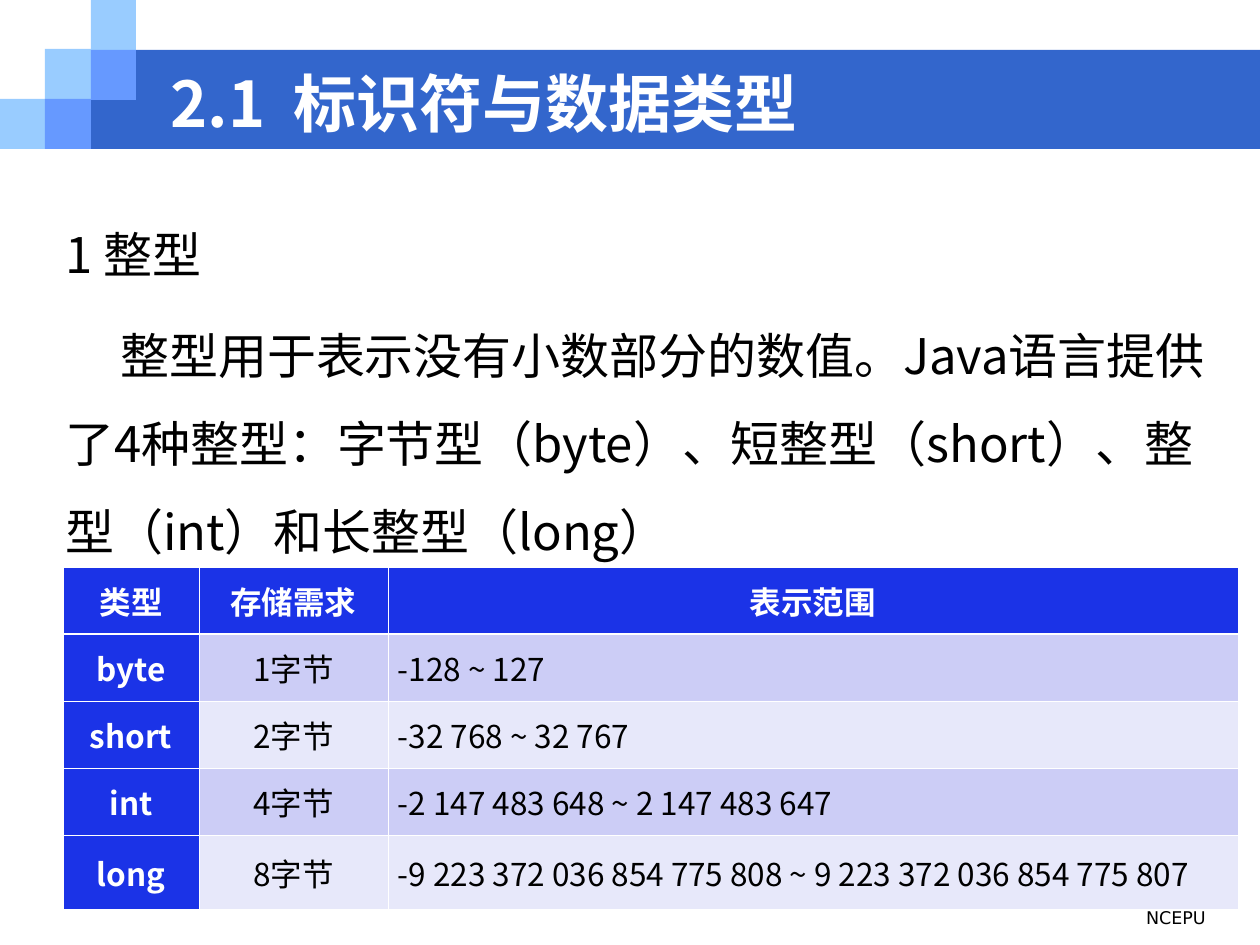
import pptx
import pptx.util
from lxml import etree
from pptx.dml.color import RGBColor
from pptx.enum.shapes import MSO_SHAPE
from pptx.enum.text import MSO_ANCHOR, PP_ALIGN
from pptx.oxml.ns import qn

PX = 914400 // 126
FONT = "Noto Sans CJK SC"
WHITE = RGBColor(0xFF, 0xFF, 0xFF)
BLACK = RGBColor(0, 0, 0)
BAND = RGBColor(0x33, 0x66, 0xCC)
LIGHT = RGBColor(0x99, 0xCC, 0xFF)
MIDDLE = RGBColor(0x66, 0x99, 0xFF)
HEADER = RGBColor(0x1B, 0x33, 0xE7)
ROW_FILLS = [RGBColor(0xE7, 0xE8, 0xFA), RGBColor(0xCC, 0xCD, 0xF6)]


def style(p, size, color, bold=False, name=FONT):
    """Set the paragraph font for Latin and East Asian text alike."""
    f = p.font
    f.size = pptx.util.Pt(size)
    f.bold = bold
    f.color.rgb = color
    f.name = name
    latin = p._p.pPr.find(qn("a:defRPr")).find(qn("a:latin"))
    ea = etree.Element(qn("a:ea"), typeface=name)
    latin.addnext(ea)


def add_text(s, x, y, w, h, lines):
    tf = s.shapes.add_textbox(x * PX, y * PX, w * PX, h * PX).text_frame
    tf.word_wrap = True
    tf.text = "\n".join(lines)
    return tf


prs = pptx.Presentation()
prs.slide_width = 1260 * PX
prs.slide_height = 945 * PX
s = prs.slides.add_slide(prs.slide_layouts[6])

# Title band and its stair of squares
for x, y, w, h, color in [
    (91, 50, 1169, 99, BAND),
    (0, 99, 45, 50, LIGHT),
    (45, 49, 46, 50, LIGHT),
    (91, 0, 45, 50, LIGHT),
    (91, 50, 45, 50, MIDDLE),
    (45, 99, 46, 50, MIDDLE),
]:
    sp = s.shapes.add_shape(MSO_SHAPE.RECTANGLE, x * PX, y * PX, w * PX, h * PX)
    sp.shadow.inherit = False
    sp.fill.solid()
    sp.fill.fore_color.rgb = color
    sp.line.fill.background()

tf = add_text(s, 819, 901, 399, 44, ["NCEPU"])
tf.paragraphs[0].alignment = PP_ALIGN.RIGHT
style(tf.paragraphs[0], 10, BLACK, name="DejaVu Sans")

tf = add_text(s, 158, 69, 1018, 67, ["2.1  标识符与数据类型"])
tf.vertical_anchor = MSO_ANCHOR.MIDDLE
style(tf.paragraphs[0], 36, WHITE, bold=True)

tf = add_text(s, 53, 189, 1176, 725, [
    "1 整型",
    "整型用于表示没有小数部分的数值。Java语言提供了4种整型：字节型（byte）、"
    "短整型（short）、整型（int）和长整型（long）",
])
for p in tf.paragraphs:
    p.line_spacing = 1.5
    style(p, 28, BLACK)
p = tf.paragraphs[1]
p.space_before = pptx.util.Pt(7)
p._p.pPr.set("marL", "0")
p._p.pPr.set("indent", str(55 * PX))

# Integer types
rows = [
    ("类型", "存储需求", "表示范围"),
    ("byte", "1字节", "-128 ~ 127"),
    ("short", "2字节", "-32 768 ~ 32 767"),
    ("int", "4字节", "-2 147 483 648 ~ 2 147 483 647"),
    ("long", "8字节", "-9 223 372 036 854 775 808 ~ 9 223 372 036 854 775 807"),
]
widths = [136, 189, 850]
heights = [67, 67, 67, 67, 75]
table = s.shapes.add_table(len(rows), len(widths), 63 * PX, 567 * PX,
                           sum(widths) * PX, sum(heights) * PX).table
for column, width in zip(table.columns, widths):
    column.width = width * PX
for row, height in zip(table.rows, heights):
    row.height = height * PX

for i, texts in enumerate(rows):
    for j, text in enumerate(texts):
        cell = table.cell(i, j)
        heading = i == 0 or j == 0
        cell.text = text
        cell.vertical_anchor = MSO_ANCHOR.MIDDLE
        cell.margin_left = cell.margin_right = 10 * PX
        cell.margin_top = cell.margin_bottom = 6 * PX
        p = cell.text_frame.paragraphs[0]
        p.alignment = PP_ALIGN.JUSTIFY if j == 2 and i else PP_ALIGN.CENTER
        style(p, 18, WHITE if heading else BLACK, bold=heading)
        tcPr = cell._tc.get_or_add_tcPr()
        for side in "LRTB":
            thick = (i, side) in [(0, "B"), (1, "T")]
            ln = etree.SubElement(tcPr, qn(f"a:ln{side}"), w="18670" if thick else "5715")
            fill = etree.SubElement(ln, qn("a:solidFill"))
            etree.SubElement(fill, qn("a:srgbClr"), val=str(WHITE))
        cell.fill.solid()
        cell.fill.fore_color.rgb = HEADER if heading else ROW_FILLS[i % 2]

prs.save("out.pptx")
